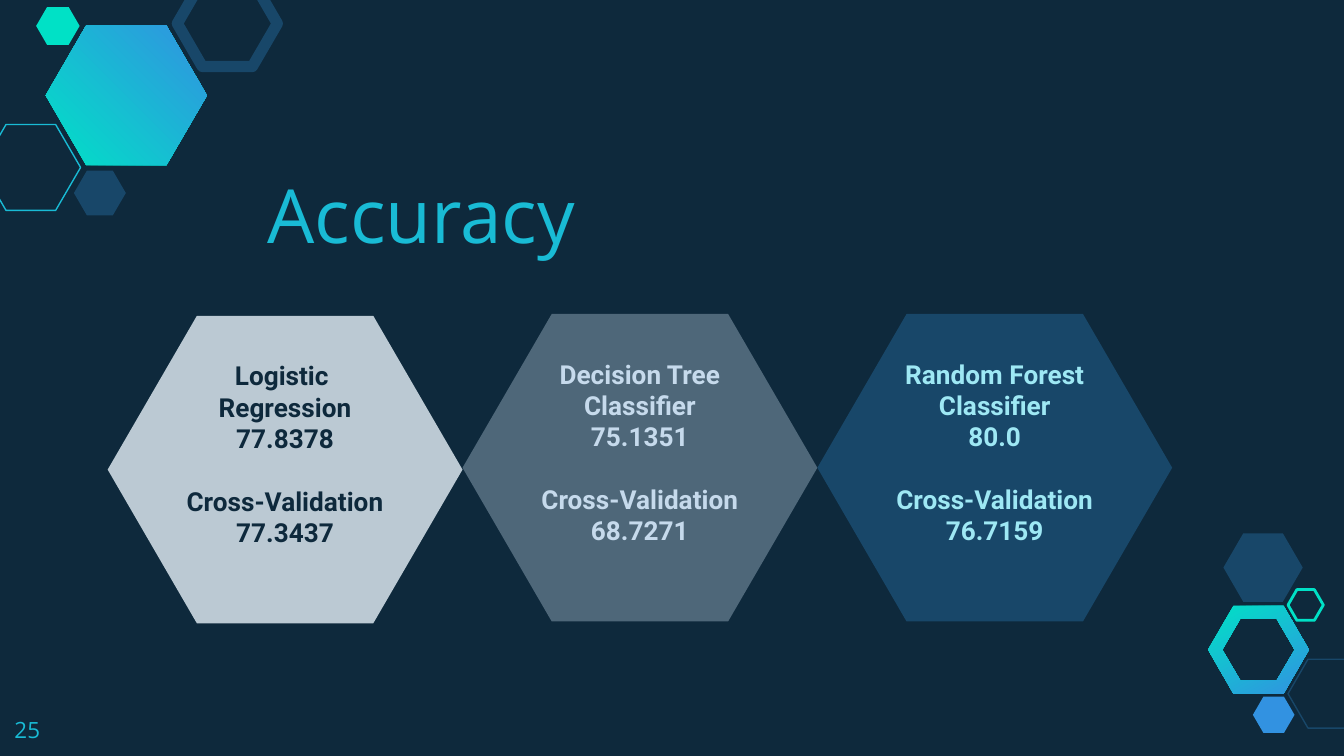
from pptx import Presentation
from pptx.dml.color import RGBColor
from pptx.enum.shapes import MSO_SHAPE
from pptx.enum.text import MSO_ANCHOR, MSO_AUTO_SIZE, PP_ALIGN
from pptx.util import Pt

NIGHT = RGBColor(0x0E, 0x29, 0x3C)
NAVY = RGBColor(0x18, 0x47, 0x69)
CYAN = RGBColor(0x19, 0xBB, 0xD5)
MINT = RGBColor(0x00, 0xE1, 0xC6)
BLUE = RGBColor(0x32, 0x92, 0xE1)
SILVER = RGBColor(0xBB, 0xC9, 0xD3)
SLATE = RGBColor(0x4E, 0x67, 0x79)
PALE_BLUE = RGBColor(0xC6, 0xDA, 0xEC)
PALE_CYAN = RGBColor(0x9E, 0xE8, 0xF4)

deck = Presentation()
deck.slide_width, deck.slide_height = Pt(720), Pt(405)
page = deck.slides.add_slide(deck.slide_layouts[5])
page.background.fill.solid()
page.background.fill.fore_color.rgb = NIGHT


def add_hexagon(left, top, width, height, fill=None, line=None, weight=0):
    hexagon = page.shapes.add_shape(
        MSO_SHAPE.HEXAGON, Pt(left), Pt(top), Pt(width), Pt(height))
    hexagon.adjustments[0] = 0.29
    hexagon.shadow.inherit = False
    if fill is None:
        hexagon.fill.background()
    else:
        hexagon.fill.solid()
        hexagon.fill.fore_color.rgb = fill
    if line is None:
        hexagon.line.fill.background()
    else:
        hexagon.line.color.rgb = line
        hexagon.line.width = Pt(weight)
    return hexagon


def fill_gradient(shape, angle):
    shape.fill.gradient()
    shape.fill.gradient_angle = angle
    for stop, color in zip(shape.fill.gradient_stops, (MINT, BLUE)):
        stop.color.rgb = color


ring_x, ring_y = 674.2, 348.1
contours = []
for side, flat, rise in ((27, 13.4, 23.5), (19.4, -9.7, 16.6)):
    offsets = [(-abs(side), 0), (-flat, -rise), (flat, -rise),
               (side, 0), (flat, rise), (-flat, rise)]
    if flat < 0:
        offsets = [(-side, 0), (flat, rise), (-flat, rise),
                   (side, 0), (-flat, -rise), (flat, -rise)]
    contours.append([(Pt(ring_x + x), Pt(ring_y + y)) for x, y in offsets])
outer, inner = contours
builder = page.shapes.build_freeform(*outer[0])
builder.add_line_segments(outer[1:], close=True)
builder.move_to(*inner[0])
builder.add_line_segments(inner[1:], close=True)
ring = builder.convert_to_shape()
ring.shadow.inherit = False
ring.line.fill.background()
fill_gradient(ring, 300)

fill_gradient(add_hexagon(24.5, 13.7, 86.4, 74.9, MINT), 45)

decorations = [
    (-10.1, 66.7, 53.3, 46.1, None, CYAN, 0.75),
    (39.6, 91.4, 27.8, 24.1, NAVY, None, 0),
    (95, -10.4, 53.6, 46.1, None, NAVY, 6),
    (19.4, 3.8, 23.3, 20.2, MINT, None, 0),
    (690, 353.2, 42.5, 36.9, None, NAVY, 0.75),
    (671.2, 373.3, 22.3, 19.4, BLUE, None, 0),
    (655.4, 285.7, 42.5, 36.7, NAVY, None, 0),
    (690, 315.9, 18.9, 16.5, None, MINT, 1.5),
]
for decoration in decorations:
    add_hexagon(*decoration)

title = page.shapes.title
title.left, title.top, title.width, title.height = Pt(136), Pt(94.3), Pt(389.5), Pt(51.1)

number = page.shapes.add_textbox(Pt(0.7), Pt(376.6), Pt(43.2), Pt(28))

for box, text, size, anchor in (
        (title, "Accuracy", 40, MSO_ANCHOR.BOTTOM),
        (number, "25", 12, MSO_ANCHOR.TOP)):
    frame = box.text_frame
    frame.word_wrap = True
    frame.auto_size = MSO_AUTO_SIZE.NONE
    frame.vertical_anchor = anchor
    frame.margin_left = frame.margin_right = Pt(7.2)
    frame.margin_top = frame.margin_bottom = Pt(7.2)
    para = frame.paragraphs[0]
    para.alignment = PP_ALIGN.LEFT
    span = para.add_run()
    span.text = text
    span.font.name = "Open Sans"
    span.font.size = Pt(size)
    span.font.color.rgb = CYAN

line_height = 16.75
models = [
    ("Logistic ", "Regression", "77.8378", "77.3437", 169.2, SILVER, NIGHT),
    ("Decision Tree", "Classifier", "75.1351", "68.7271", 168.2, SLATE, PALE_BLUE),
    ("Random Forest", "Classifier", "80.0", "76.7159", 168.2, NAVY, PALE_CYAN),
]
for index, (first, second, accuracy, validation, top, fill, ink) in enumerate(models):
    card = add_hexagon(57.7 + index * 190.1, top, 190.1, 164.8, fill)
    frame = card.text_frame
    frame.word_wrap = True
    frame.vertical_anchor = MSO_ANCHOR.MIDDLE
    frame.margin_left = frame.margin_right = frame.margin_top = Pt(7.2)
    frame.margin_bottom = Pt(7.2 + line_height)
    lines = (first, second, accuracy, "Cross-Validation", validation)
    for position, text in enumerate(lines):
        para = frame.add_paragraph() if position else frame.paragraphs[0]
        para.alignment = PP_ALIGN.CENTER
        if text == "Cross-Validation":
            para.space_before = Pt(line_height)
        span = para.add_run()
        span.text = text
        span.font.name = "Roboto"
        span.font.size = Pt(14)
        span.font.bold = True
        span.font.color.rgb = ink

deck.save("out.pptx")
